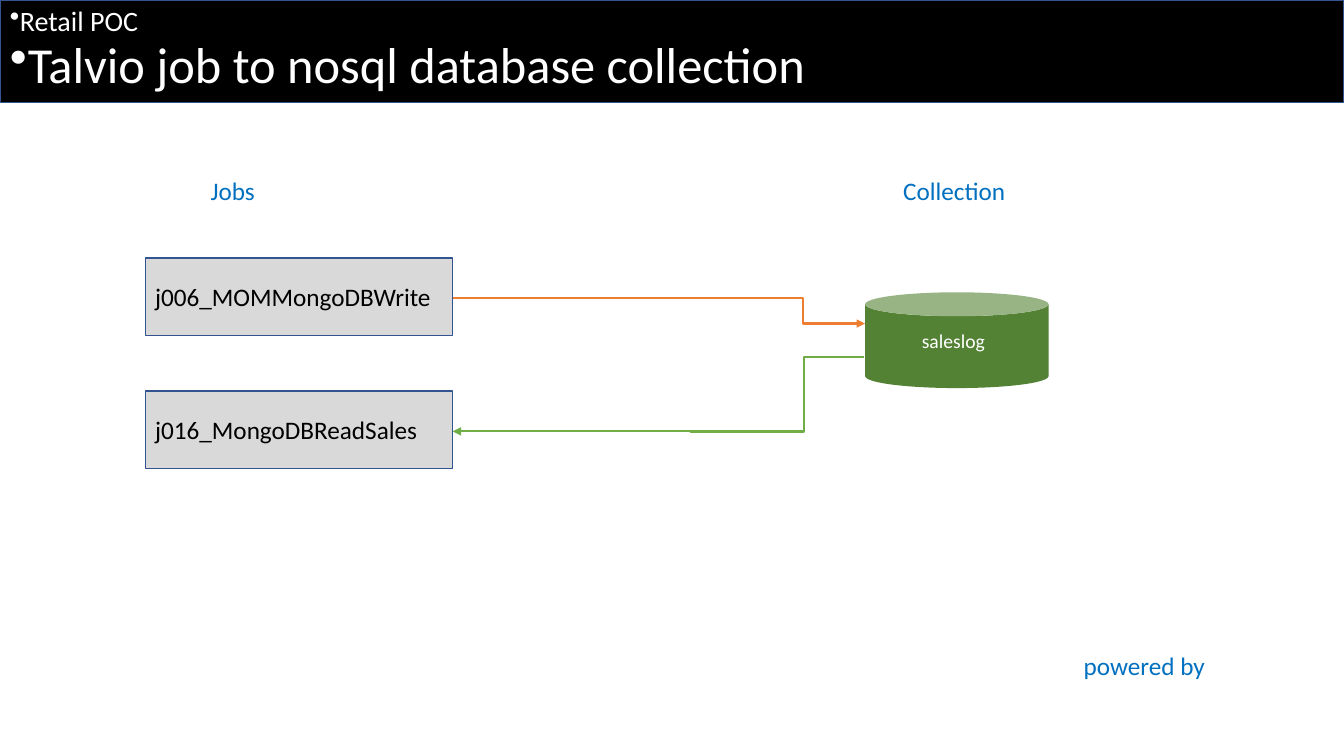
from lxml import etree
from pptx import Presentation
from pptx.dml.color import RGBColor
from pptx.enum.shapes import MSO_CONNECTOR, MSO_SHAPE
from pptx.enum.text import MSO_ANCHOR, PP_ALIGN
from pptx.oxml.ns import qn
from pptx.util import Inches, Pt

RECT, CAN = MSO_SHAPE.RECTANGLE, MSO_SHAPE.CAN
ELBOW = MSO_CONNECTOR.ELBOW
MID, TOP = MSO_ANCHOR.MIDDLE, MSO_ANCHOR.TOP
LEFT, CENTER = PP_ALIGN.LEFT, PP_ALIGN.CENTER

deck = Presentation()
deck.slide_width, deck.slide_height = Inches(13.33), Inches(7.5)
slide = deck.slides.add_slide(deck.slide_layouts[6])
unit = deck.slide_height / 90


def grid(*cells):
    return [round(unit * cell) for cell in cells]


def paint(target, color):
    target.rgb = RGBColor.from_string(color)


blocks = [
    (RECT, (0, 0, 159.96, 12.24), "000000", "325491", "FFFFFF",
     [("Retail POC", 20), ("Talvio job to nosql database collection", 36)]),
    (RECT, (17.28, 30.72, 36.6, 9.24), "D9D9D9", "325491", "000000",
     [("j006_MOMMongoDBWrite", 18)]),
    (RECT, (17.28, 46.56, 36.6, 9.24), "D9D9D9", "325491", "000000",
     [("j016_MongoDBReadSales", 18)]),
    (CAN, (102.96, 34.8, 21.84, 11.4), "548235", None, "FFFFFF",
     [("saleslog", 14)]),
    (None, (23.88, 20.28, 21.24, 4.8), None, None, "0070C0",
     [("Jobs", 18)]),
    (None, (106.32, 20.28, 17.16, 4.8), None, None, "0070C0",
     [("Collection", 18)]),
    (None, (127.8, 76.8, 22.68, 3.36), None, None, "0070C0",
     [("powered by", 18)]),
]

for kind, box, fill, edge, ink, lines in blocks:
    if kind is None:
        shape = slide.shapes.add_textbox(*grid(*box))
    else:
        shape = slide.shapes.add_shape(kind, *grid(*box))
        shape.shadow.inherit = False
        shape.fill.solid()
        paint(shape.fill.fore_color, fill)
        if edge:
            paint(shape.line.color, edge)
            shape.line.width = Pt(1)
        else:
            shape.line.fill.background()
    frame = shape.text_frame
    frame.word_wrap = True
    frame.vertical_anchor = MID if kind else TOP
    if kind == CAN:
        frame.margin_right, frame.margin_bottom = grid(2, 2)
    for i, (text, size) in enumerate(lines):
        para = frame.add_paragraph() if i else frame.paragraphs[0]
        para.alignment = CENTER if kind == CAN else LEFT
        if len(lines) > 1:
            props = para._p.get_or_add_pPr()
            props.set("marL", "0")
            props.set("indent", str(-Inches(0.25)))
            etree.SubElement(props, qn("a:buChar")).set("char", "•")
            para.line_spacing = 0.8
            para.space_after = Pt(6)
        run = para.add_run()
        run.text = text
        run.font.name = "Calibri"
        run.font.size = Pt(size)
        paint(run.font.color, ink)

links = [
    ((102.96, 38.52, 53.94, 35.52), "ED7D31", "a:headEnd",
     (15100, 100700, 81600)),
    ((102.84, 42.48, 53.88, 51.36), "70AD47", "a:tailEnd",
     (14700, 100100, 42200)),
]

for ends, color, tip, bends in links:
    link = slide.shapes.add_connector(ELBOW, *grid(*ends))
    paint(link.line.color, color)
    link.line.width = Pt(1.5)
    props = link._element.spPr
    etree.SubElement(props.find(qn("a:ln")), qn(tip)).set("type", "triangle")
    etree.SubElement(props, qn("a:effectLst"))
    geom = props.find(qn("a:prstGeom"))
    geom.set("prst", "bentConnector5")
    guides = geom.find(qn("a:avLst"))
    for i, bend in enumerate(bends, 1):
        guide = etree.SubElement(guides, qn("a:gd"))
        guide.set("name", f"adj{i}")
        guide.set("fmla", f"val {bend}")

deck.save("out.pptx")
